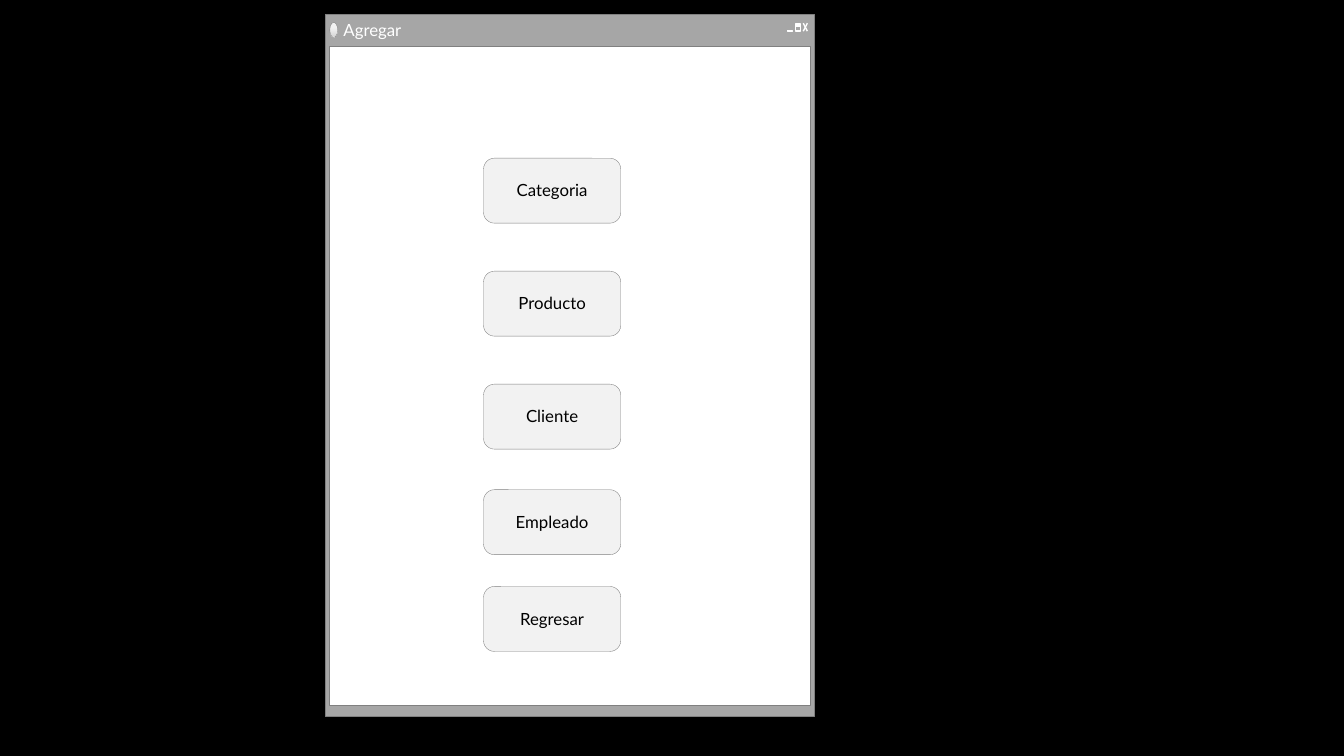
from copy import deepcopy
from dataclasses import dataclass

from lxml import etree
from pptx import Presentation
from pptx import util as u
from pptx.dml.color import RGBColor
from pptx.enum import shapes, text
from pptx.oxml.ns import qn


@dataclass(frozen=True)
class Theme:
    font: str = "Lato"
    size: float = 12
    hairline: float = 0.25
    stroke: float = 1
    backdrop: str = "000000"
    frame: str = "A6A6A6"
    border: str = "808080"
    client: str = "FFFFFF"
    glyph: str = "919191"
    button: str = "F2F2F2"
    shade: str = "D9D9D9"
    caption: str = "FFFFFF"
    label: str = "000000"


def rgb(value):
    return RGBColor.from_string(value)


def write(tf, content, *, font, size, color, align, insets, wrap=True):
    tf.word_wrap = wrap
    tf.auto_size = text.MSO_AUTO_SIZE.NONE
    tf.vertical_anchor = text.MSO_ANCHOR.MIDDLE
    tf.margin_left, tf.margin_top, tf.margin_right, tf.margin_bottom = map(u.Pt, insets)
    p = tf.paragraphs[0]
    p.alignment = align
    r = p.add_run()
    r.text = content
    r.font.name = font
    r.font.size = u.Pt(size)
    r.font.color.rgb = rgb(color)


class Screen:
    """Draws window elements on one slide; all lengths are in points."""

    def __init__(self, slide, theme):
        self.slide = slide
        self.theme = theme
        slide.background.fill.solid()
        slide.background.fill.fore_color.rgb = rgb(theme.backdrop)

    def shape(self, kind, box, fill=None, line=None, weight=None):
        sp = self.slide.shapes.add_shape(kind, *map(u.Pt, box))
        sp.shadow.inherit = False
        if fill:
            sp.fill.solid()
            sp.fill.fore_color.rgb = rgb(fill)
        else:
            sp.fill.background()
        sp.line.color.rgb = rgb(line or self.theme.border)
        sp.line.width = u.Pt(weight or self.theme.hairline)
        return sp

    def rect(self, box, **style):
        return self.shape(shapes.MSO_SHAPE.RECTANGLE, box, **style)

    def line(self, x1, y1, x2, y2):
        c = self.slide.shapes.add_connector(
            shapes.MSO_CONNECTOR.STRAIGHT, *map(u.Pt, (x1, y1, x2, y2)))
        c.line.color.rgb = rgb(self.theme.caption)
        c.line.width = u.Pt(self.theme.stroke)
        etree.SubElement(c._element.spPr, qn("a:effectLst"))

    def title(self, content, box):
        sp = self.slide.shapes.title
        sp.left, sp.top, sp.width, sp.height = map(u.Pt, box)
        write(sp.text_frame, content, font=self.theme.font, size=self.theme.size,
              color=self.theme.caption, align=text.PP_ALIGN.LEFT,
              insets=(3.6, 1.5, 7.2, 2.2), wrap=False)
        # The placeholder starts at the back; bring it above the window frame
        self.slide.shapes._spTree.append(sp._element)

    def icon(self, box):
        t = self.theme
        sp = self.shape(shapes.MSO_SHAPE.OVAL, box)
        sp.fill.gradient()
        sp.fill.gradient_angle = 270
        stops = sp.fill.gradient_stops
        last = stops[1]._gs
        last.addnext(deepcopy(last))
        ramp = ((0.36, t.button), (0.91, t.shade), (1, t.button))
        for stop, (position, color) in zip(sp.fill.gradient_stops, ramp):
            stop.position = position
            stop.color.rgb = rgb(color)

    def button(self, label, box):
        t = self.theme
        sp = self.shape(shapes.MSO_SHAPE.ROUNDED_RECTANGLE, box, fill=t.button)
        write(sp.text_frame, label, font=t.font, size=t.size, color=t.label,
              align=text.PP_ALIGN.CENTER, insets=(7.2, 0, 7.2, 0.7))

    def window_controls(self):
        t = self.theme
        left, right, top, bottom = 573.8, 576.7, 16.6, 22.3
        self.line(left, top, right, bottom)
        self.line(right, top, left, bottom)
        self.rect((568.1, 18, 3.6, 0.7), fill=t.glyph, line=t.caption)
        self.rect((568.1, 17.3, 3.6, 5), line=t.caption, weight=t.stroke)
        self.rect((562.3, 21.6, 3.6, 0.7), fill=t.glyph, line=t.caption)


def main():
    prs = Presentation()
    prs.slide_width, prs.slide_height = u.Pt(960), u.Pt(540)
    theme = Theme()
    screen = Screen(prs.slides.add_slide(prs.slide_layouts[5]), theme)

    screen.rect((232.5, 10.1, 349.2, 501.8), fill=theme.frame)
    screen.rect((235.5, 33.1, 343.4, 470.9), fill=theme.client)
    screen.title("Agregar", (241.7, 12.8, 54, 18))
    screen.window_controls()
    screen.icon((235.6, 16, 5.6, 10.8))

    buttons = {"Categoria": 113, "Producto": 193.7, "Cliente": 274.4,
               "Empleado": 349.8, "Regresar": 418.9}
    for label, top in buttons.items():
        screen.button(label, (345.4, top, 98, 46.4))

    prs.save("out.pptx")


if __name__ == "__main__":
    main()
